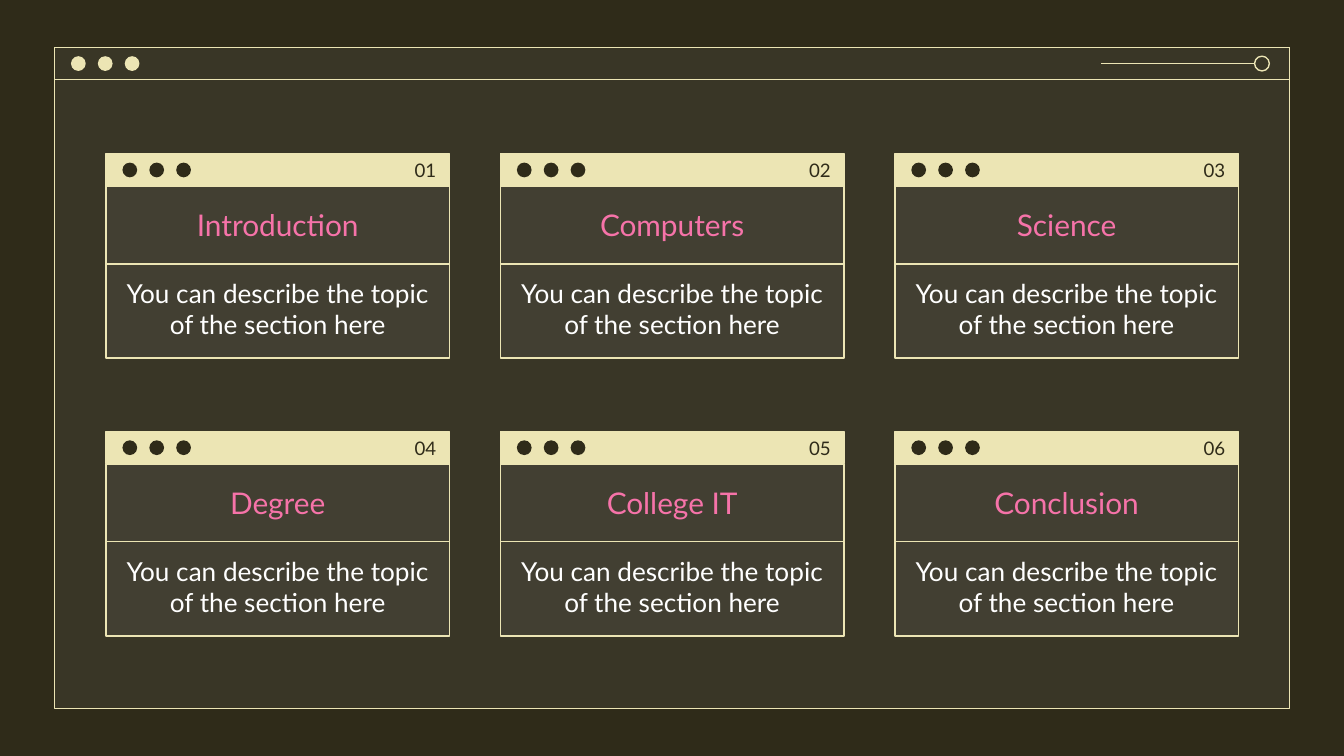
from pptx import Presentation
from pptx.util import Pt
from pptx.dml.color import RGBColor
from pptx.enum.shapes import MSO_SHAPE, MSO_CONNECTOR
from pptx.enum.text import PP_ALIGN, MSO_ANCHOR, MSO_AUTO_SIZE
from lxml.etree import SubElement
from pptx.oxml.ns import qn

COLORS = {
    "dark": "2F2B19",
    "cream": "ECE5B4",
    "pink": "F673A9",
    "white": "FFFFFF",
    "gray": "7C7C7C",
}
FONT = "Lato"
TOPICS = ["Introduction", "Computers", "Science",
          "Degree", "College IT", "Conclusion"]
NOTE = "You can describe the topic of the section here"
BAR = 17.3
DOT = 7.9


def color(name):
    return RGBColor.from_string(COLORS[name])


def outline(shape):
    shape.line.color.rgb = color("cream")
    shape.line.width = Pt(0.75)


def add_shape(group, kind, box, fill=None, line=False, alpha=None):
    shape = group.shapes.add_shape(kind, *map(Pt, box))
    shape.shadow.inherit = False
    if fill:
        shape.fill.solid()
        shape.fill.fore_color.rgb = color(fill)
    else:
        shape.fill.background()
    if alpha:
        tint = shape.fill._xPr.find(".//" + qn("a:srgbClr"))
        SubElement(tint, qn("a:alpha"), val=str(alpha * 1000))
    if line:
        outline(shape)
    else:
        shape.line.fill.background()
    return shape


def add_dots(group, left, top, fill):
    for i in range(3):
        box = (left + 14.4 * i, top, DOT, DOT)
        add_shape(group, MSO_SHAPE.OVAL, box, fill)


def add_text(slide, box, words, size, tone, align=PP_ALIGN.CENTER,
             anchor=MSO_ANCHOR.MIDDLE, line=True, holder=None):
    shape = holder or slide.shapes.add_textbox(*map(Pt, box))
    slide.shapes._spTree.append(shape._element)
    shape.left, shape.top, shape.width, shape.height = map(Pt, box)
    if line:
        outline(shape)
    frame = shape.text_frame
    frame.word_wrap = True
    frame.auto_size = MSO_AUTO_SIZE.NONE
    frame.vertical_anchor = anchor
    frame.margin_left = frame.margin_right = Pt(7.2)
    frame.margin_top = frame.margin_bottom = Pt(7.2)
    para = frame.paragraphs[0]
    para.alignment = align
    para.space_before = Pt(0)
    run = para.add_run()
    run.text = words
    run.font.name = FONT
    run.font.size = Pt(size)
    run.font.color.rgb = color(tone)


def add_window(slide, box):
    left, top, width, height = box
    group = slide.shapes.add_group_shape()
    add_shape(group, MSO_SHAPE.RECTANGLE, box, "gray", alpha=14)
    add_shape(group, MSO_SHAPE.RECTANGLE, box, line=True)
    add_shape(group, MSO_SHAPE.RECTANGLE, (left, top, width, BAR), line=True)
    add_dots(group, left + 8.8, top + 4.7, "cream")
    knob = left + width - 18.7
    add_shape(group, MSO_SHAPE.OVAL, (knob, top + 4.7, DOT, DOT), line=True)
    mid = top + BAR / 2
    track = group.shapes.add_connector(
        MSO_CONNECTOR.STRAIGHT, Pt(knob - 82), Pt(mid), Pt(knob), Pt(mid))
    outline(track)
    SubElement(track._element.spPr, qn("a:effectLst"))


def add_card(slide, box, number, topic, title=None, body=None):
    left, top, width, height = box
    split = top + 59
    group = slide.shapes.add_group_shape()
    add_shape(group, MSO_SHAPE.RECTANGLE, box, "gray", alpha=14)
    add_shape(group, MSO_SHAPE.RECTANGLE, (left, top, width, BAR),
              "cream", line=True)
    add_dots(group, left + 8.8, top + 4.7, "dark")
    add_text(slide, (left, top + BAR, width, split - top - BAR), topic,
             16, "pink", holder=title)
    add_text(slide, (left, split, width, top + height - split), NOTE,
             14, "white", anchor=MSO_ANCHOR.TOP, holder=body)
    add_text(slide, (left + width - 100, top, 100, BAR), f"{number:02}",
             10, "dark", align=PP_ALIGN.RIGHT, line=False)


def main():
    deck = Presentation()
    deck.slide_width, deck.slide_height = Pt(720), Pt(405)
    slide = deck.slides.add_slide(deck.slide_layouts[0])
    slide.background.fill.solid()
    slide.background.fill.fore_color.rgb = color("dark")
    holders = list(slide.placeholders)
    add_window(slide, (29.2, 25.4, 661.6, 354.2))
    for i, topic in enumerate(TOPICS):
        row, col = divmod(i, 3)
        box = (56.8 + 211.3 * col, 82.4 + 148.8 * row, 184, 109.5)
        add_card(slide, box, i + 1, topic, *(holders if i == 0 else []))
    deck.save("out.pptx")


if __name__ == "__main__":
    main()
